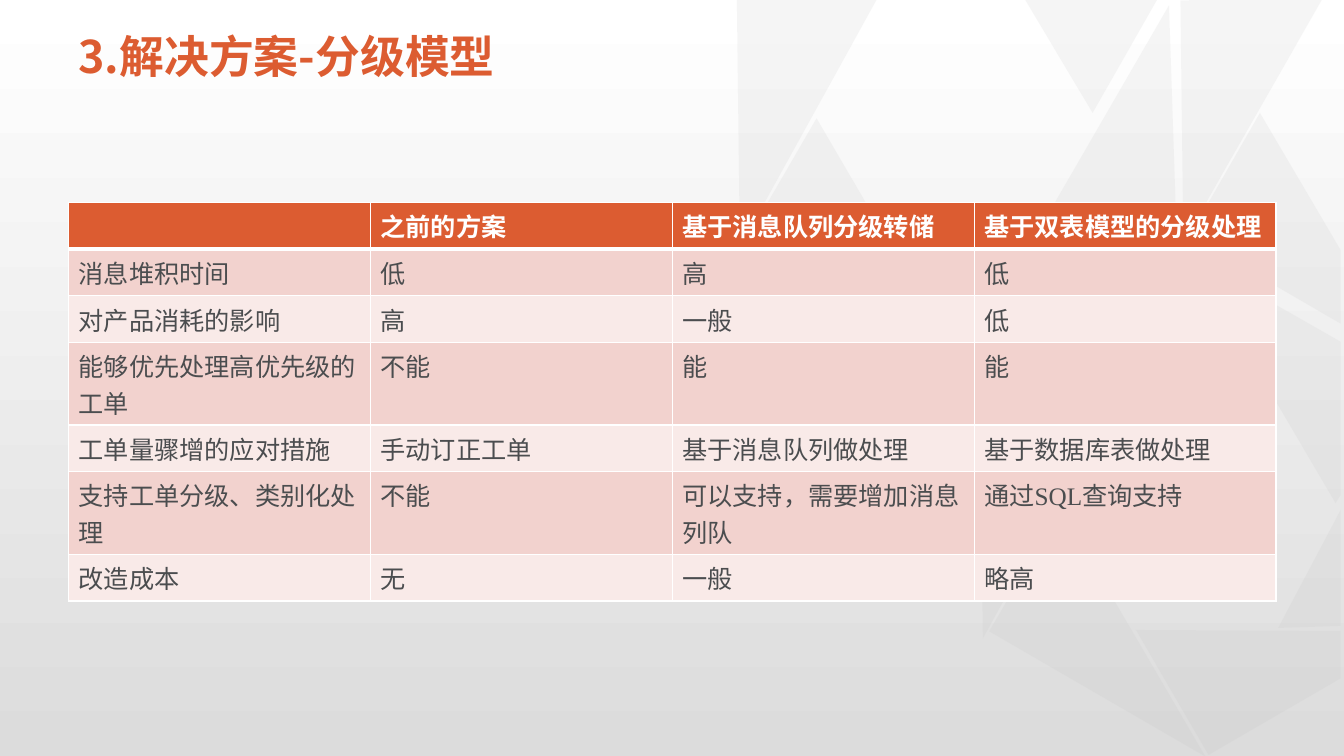
"""Build the graded-model comparison slide."""
from dataclasses import dataclass
from math import ceil

from lxml import etree
from pptx import Presentation
from pptx.dml.color import RGBColor
from pptx.enum.shapes import MSO_SHAPE
from pptx.enum.text import MSO_ANCHOR
from pptx.oxml.ns import qn
from pptx.util import Pt

RECTANGLE = MSO_SHAPE.RECTANGLE
RIGHT_TRIANGLE = MSO_SHAPE.RIGHT_TRIANGLE
MIDDLE = MSO_ANCHOR.MIDDLE


@dataclass(frozen=True)
class Theme:
    accent: str = "DC5C31"
    text: str = "4B4D4F"
    white: str = "FFFFFF"
    shade: str = "DCDCDC"
    facet: str = "BFBFBF"
    facet_alpha: int = 14
    bands: tuple[str, str] = ("F2D2CE", "F9EAE8")
    cjk_font: str = "Noto Sans CJK SC"
    body_font: str = "Times New Roman"
    title_size: int = 32
    body_size: int = 18
    border: int = 1
    header_border: int = 3


@dataclass(frozen=True)
class Triangle:
    left: float
    top: float
    width: float
    height: float
    rotation: float


@dataclass(frozen=True)
class Polygon:
    points: tuple[tuple[float, float], ...]


THEME = Theme()
WIDTH, HEIGHT = 960, 540
MARGIN, CONTENT_WIDTH = 48.96, 862.56
TITLE_TOP, TITLE_HEIGHT = 10.8, 62.64
TABLE_TOP, ROW_HEIGHT, EXTRA_LINE = 144.72, 33.3, 25.8
CHARS_PER_LINE = 11

FACETS = (
    Triangle(710.64, 220.32, 174.96, 102.96, 149.8),
    Triangle(662.4, 315.36, 178.56, 101.52, 89.3),
    Triangle(720, 401.04, 178.56, 101.52, 30.1),
    Polygon(((811.44, 450), (957.6, 450.72), (957.6, 484.56), (863.28, 539.28))),
    Polygon(((957.6, 364.32), (957.6, 447.12), (912.96, 448.56))),
    Polygon(((850.32, 182.88), (957.6, 244.08), (957.6, 353.52), (954, 359.28))),
    Triangle(808.56, 35.28, 172.8, 101.52, 89.3),
    Polygon(((900, 80.64), (957.6, 178.56), (957.6, 231.12), (849.6, 168.48))),
    Triangle(488.88, 36, 178.56, 101.52, 89.3),
    Triangle(545.76, 122.4, 178.56, 101.52, 30.1),
    Triangle(651.6, 120.24, 174.96, 102.96, 329.8),
    Triangle(705.6, 36, 162.72, 101.52, 268.1),
    Polygon(((731.52, -1.44), (827.28, -1.44), (780.48, 80.64))),
)

ROWS = (
    ("", "之前的方案", "基于消息队列分级转储", "基于双表模型的分级处理"),
    ("消息堆积时间", "低", "高", "低"),
    ("对产品消耗的影响", "高", "一般", "低"),
    ("能够优先处理高优先级的工单", "不能", "能", "能"),
    ("工单量骤增的应对措施", "手动订正工单", "基于消息队列做处理", "基于数据库表做处理"),
    ("支持工单分级、类别化处理", "不能", "可以支持，需要增加消息列队", "通过SQL查询支持"),
    ("改造成本", "无", "一般", "略高"),
)


def rgb(value: str) -> RGBColor:
    """Return the colour for a hex value."""
    return RGBColor.from_string(value)


def style(p, size: int, color: str, bold: bool, font: str) -> None:
    """Set the font of a whole paragraph."""
    p.font.size = Pt(size)
    p.font.bold = bold
    p.font.color.rgb = rgb(color)
    p.font.name = font
    etree.SubElement(p.font._rPr, qn("a:ea"), typeface=THEME.cjk_font)


def add_backdrop(slide) -> None:
    """Draw the vertical gradient behind everything."""
    sp = slide.shapes.add_shape(RECTANGLE, 0, 0, Pt(WIDTH), Pt(HEIGHT))
    sp.shadow.inherit = False
    sp.line.fill.background()
    sp.fill.gradient()
    sp.fill.gradient_angle = 90
    for stop, color, position in zip(sp.fill.gradient_stops, (THEME.shade, THEME.white), (0, 1)):
        stop.color.rgb = rgb(color)
        stop.position = position


def add_facet(slide, facet: Triangle | Polygon) -> None:
    """Draw one translucent facet."""
    if isinstance(facet, Triangle):
        sp = slide.shapes.add_shape(
            RIGHT_TRIANGLE, Pt(facet.left), Pt(facet.top), Pt(facet.width), Pt(facet.height)
        )
        sp.rotation = facet.rotation
    else:
        start, *rest = [(Pt(x), Pt(y)) for x, y in facet.points]
        builder = slide.shapes.build_freeform(*start)
        builder.add_line_segments(rest, close=True)
        sp = builder.convert_to_shape()
    sp.shadow.inherit = False
    sp.line.fill.background()
    sp.fill.solid()
    sp.fill.fore_color.rgb = rgb(THEME.facet)
    color = sp._element.spPr.find(qn("a:solidFill")).find(qn("a:srgbClr"))
    etree.SubElement(color, qn("a:alpha"), val=str(THEME.facet_alpha * 1000))


def add_title(slide, text: str) -> None:
    """Add the slide heading."""
    sp = slide.shapes.add_textbox(Pt(MARGIN), Pt(TITLE_TOP), Pt(CONTENT_WIDTH), Pt(TITLE_HEIGHT))
    tf = sp.text_frame
    tf.word_wrap = True
    tf.vertical_anchor = MIDDLE
    p = tf.paragraphs[0]
    p.text = text
    p.line_spacing = 0.9
    style(p, THEME.title_size, THEME.accent, True, THEME.cjk_font)


def add_borders(cell, row: int) -> None:
    """Draw white cell borders, heavier under the header."""
    widths = dict.fromkeys(("a:lnL", "a:lnR", "a:lnT", "a:lnB"), THEME.border)
    if row < 2:
        widths["a:lnT" if row else "a:lnB"] = THEME.header_border
    tc_pr = cell._tc.get_or_add_tcPr()
    for side, width in widths.items():
        line = etree.SubElement(tc_pr, qn(side), w=str(Pt(width)))
        fill = etree.SubElement(line, qn("a:solidFill"))
        etree.SubElement(fill, qn("a:srgbClr"), val=THEME.white)


def row_height(values: tuple[str, ...]) -> float:
    """Return the height that fits the longest text of a row."""
    lines = ceil(max(map(len, values)) / CHARS_PER_LINE)
    return ROW_HEIGHT + EXTRA_LINE * (lines - 1)


def add_comparison(slide, rows: tuple[tuple[str, ...], ...]) -> None:
    """Add the table comparing the solutions."""
    heights = [row_height(values) for values in rows]
    table = slide.shapes.add_table(
        len(rows), len(rows[0]), Pt(MARGIN), Pt(TABLE_TOP), Pt(CONTENT_WIDTH), Pt(sum(heights))
    ).table
    for i, values in enumerate(rows):
        header = i == 0
        table.rows[i].height = Pt(heights[i])
        for j, value in enumerate(values):
            cell = table.cell(i, j)
            add_borders(cell, i)
            cell.fill.solid()
            cell.fill.fore_color.rgb = rgb(THEME.accent if header else THEME.bands[(i - 1) % 2])
            p = cell.text_frame.paragraphs[0]
            p.text = value
            color = THEME.white if header else THEME.text
            style(p, THEME.body_size, color, header, THEME.body_font)


def main() -> None:
    """Build and save the presentation."""
    prs = Presentation()
    prs.slide_width, prs.slide_height = Pt(WIDTH), Pt(HEIGHT)
    slide = prs.slides.add_slide(prs.slide_layouts[6])
    add_backdrop(slide)
    for facet in FACETS:
        add_facet(slide, facet)
    add_title(slide, "3.解决方案-分级模型")
    add_comparison(slide, ROWS)
    prs.save("out.pptx")


if __name__ == "__main__":
    main()
